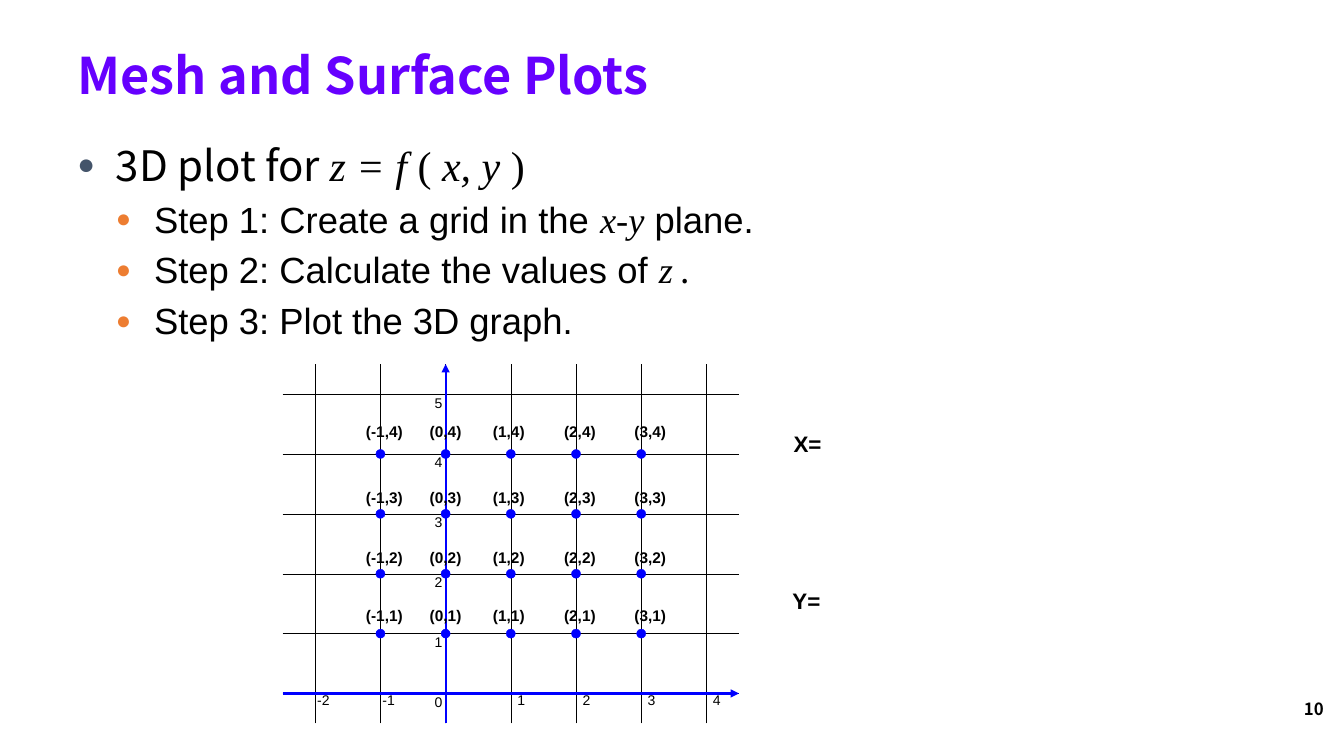
from dataclasses import dataclass
from itertools import product

from lxml.etree import SubElement
from pptx import Presentation
from pptx.dml.color import RGBColor
from pptx.enum.shapes import MSO_CONNECTOR, MSO_SHAPE
from pptx.enum.text import MSO_ANCHOR, PP_ALIGN
from pptx.oxml.ns import qn
from pptx.util import Inches, Pt


@dataclass(frozen=True)
class Theme:
    head: str = "6600FF"
    ink: str = "000000"
    blue: str = "0000FF"
    marks: tuple = ("44546A", "ED7D31")  # bullet colour by level
    main: str = "Noto Sans CJK KR"
    sans: str = "Arial"
    math: str = "Times New Roman"
    title: int = 36
    lead: int = 30
    step: int = 26
    stop: int = 24
    side: int = 16
    page: int = 12
    label: int = 11
    tick: int = 10
    hair: float = 0.25
    axis: float = 1.5


def spot(col, row):
    """Turn plot coordinates into percent of the slide."""
    return 33.16 + 4.85 * col, 91.73 - 7.92 * row


class Board:
    """One slide; lengths are percent of its width and height."""

    def __init__(self, deck, theme):
        self.deck, self.theme = deck, theme
        self.slide = deck.slides.add_slide(deck.slide_layouts[5])
        self.shapes = self.slide.shapes

    def size(self, *nums):
        full = (self.deck.slide_width, self.deck.slide_height)
        return [int(n * full[i % 2] / 100) for i, n in enumerate(nums)]

    def style(self, run, size, font, color=None, bold=False, slant=False):
        run.font.size, run.font.name = Pt(size), font
        run.font.bold, run.font.italic = bold, slant
        run.font.color.rgb = RGBColor.from_string(color or self.theme.ink)

    def title(self, text, *box):
        head = self.shapes.title
        head.left, head.top, head.width, head.height = self.size(*box)
        frame = head.text_frame
        frame.text = text
        frame.vertical_anchor = MSO_ANCHOR.BOTTOM
        frame.paragraphs[0].alignment = PP_ALIGN.LEFT
        self.style(frame.paragraphs[0].runs[0], self.theme.title,
                   self.theme.main, self.theme.head, bold=True)

    def text(self, text, box, size, font, bold=True, align=PP_ALIGN.CENTER,
             wrap=False, bare=False):
        frame = self.shapes.add_textbox(*self.size(*box)).text_frame
        frame.text = text
        frame.word_wrap = wrap
        if bare:
            frame.margin_left = frame.margin_right = 0
            frame.margin_top = frame.margin_bottom = 0
        frame.paragraphs[0].alignment = align
        self.style(frame.paragraphs[0].runs[0], size, font, bold=bold)

    def list(self, items, *box):
        frame = self.shapes.add_textbox(*self.size(*box)).text_frame
        frame.word_wrap = True
        for i, (level, parts) in enumerate(items):
            para = frame.add_paragraph() if i else frame.paragraphs[0]
            para.level = level
            self.bullet(para, level)
            for text, size, font, slant in parts:
                run = para.add_run()
                run.text = text
                self.style(run, size, font, slant=slant)

    def bullet(self, para, level):
        props = para._p.get_or_add_pPr()
        indent = Inches(0.38)
        props.set("marL", str(indent * (level + 1)))
        props.set("indent", str(-indent))
        space = SubElement(props, qn("a:spcBef"))
        SubElement(space, qn("a:spcPct")).set("val", "20000")
        color = SubElement(props, qn("a:buClr"))
        SubElement(color, qn("a:srgbClr")).set("val", self.theme.marks[level])
        for tag, key, val in (("a:buSzPct", "val", "70000"),
                              ("a:buFont", "typeface", self.theme.sans),
                              ("a:buChar", "char", "●")):
            SubElement(props, qn(tag)).set(key, val)

    def line(self, start, end, color, width, arrow=False):
        ends = self.size(*spot(*start), *spot(*end))
        line = self.shapes.add_connector(MSO_CONNECTOR.STRAIGHT, *ends)
        line.line.color.rgb = RGBColor.from_string(color)
        line.line.width = Pt(width)
        if arrow:
            tip = SubElement(line.line._get_or_add_ln(), qn("a:tailEnd"))
            tip.set("type", "triangle")
        SubElement(line._element.spPr, qn("a:effectLst"))

    def dot(self, col, row):
        x, y = spot(col, row)
        wide, high = 0.68, 1.2
        box = self.size(x - wide / 2, y - high / 2, wide, high)
        dot = self.shapes.add_shape(MSO_SHAPE.OVAL, *box)
        dot.shadow.inherit = False
        dot.fill.solid()
        dot.fill.fore_color.rgb = RGBColor.from_string(self.theme.blue)
        dot.line.color.rgb = RGBColor.from_string(self.theme.blue)
        dot.line.width = Pt(self.theme.hair)


def plot(board):
    theme = board.theme
    left, right, low, high = -2.5, 4.5, -0.5, 5.5

    # Grid lines
    for col in range(-2, 5):
        board.line((col, low), (col, high), theme.ink, theme.hair)
    for row in range(6):
        board.line((left, row), (right, row), theme.ink, theme.hair)

    # Tick numbers
    ticks = [(col, col + (0.03 if col < 0 else 0.1), 0.03)
             for col in range(-2, 5) if col]
    ticks += [(row, -0.17, row) for row in range(6)]
    for num, col, row in ticks:
        wide = 1.5 if num < 0 else 0.7
        board.text(str(num), (*spot(col, row), wide, 2.27), theme.tick,
                   theme.sans, bold=False, align=PP_ALIGN.LEFT, wrap=True,
                   bare=True)

    # Mesh points
    cols, rows = range(-1, 4), range(1, 5)
    for col, row in product(cols, rows):
        board.dot(col, row)

    # Axes
    board.line((left, 0), (right, 0), theme.blue, theme.axis, arrow=True)
    board.line((0, low), (0, high), theme.blue, theme.axis, arrow=True)

    # Point labels: centre by column, top by row
    mids = dict(zip(cols, (-0.94, 0, 0.97, 2.06, 3.14)))
    tops = dict(zip(rows, (1.55, 2.51, 3.52, 4.61)))
    for col, row in product(cols, rows):
        x, y = spot(mids[col], tops[row])
        wide = 4.28 if col < 0 else 3.9
        board.text(f"({col},{row})", (x - wide / 2, y, wide, 3.87),
                   theme.label, theme.sans)


def main():
    deck = Presentation()
    deck.slide_width, deck.slide_height = Inches(13.33), Inches(7.5)
    theme = Theme()
    board = Board(deck, theme)

    # Title and steps
    board.title("Mesh and Surface Plots", 5.03, 1.73, 90.3, 12.8)
    lead, step = theme.lead, theme.step
    main, sans, math = theme.main, theme.sans, theme.math
    board.list([
        (0, [("3D plot for ", lead, main, False),
             ("z = f ", lead, math, True), ("( ", lead, math, False),
             ("x, y ", lead, math, True), (")", lead, math, False)]),
        (1, [("Step 1: Create a grid in the ", step, sans, False),
             ("x-y", step, math, True), (" plane.", step, sans, False)]),
        (1, [("Step 2: Calculate the values of ", step, sans, False),
             ("z", step, math, True), (" .", theme.stop, main, False)]),
        (1, [("Step 3: Plot the 3D graph.", step, sans, False)]),
    ], 5.03, 17.73, 90, 71.73)

    plot(board)

    # Matrix names and page number
    board.text("X=", (58.28, 56.27, 3.6, 4.93), theme.side, sans)
    board.text("Y=", (58.2, 77.07, 3.6, 4.93), theme.side, sans)
    board.text("10", (75.9, 91.73, 23.33, 4), theme.page, main,
               align=PP_ALIGN.RIGHT, wrap=True)

    deck.save("out.pptx")


if __name__ == "__main__":
    main()
